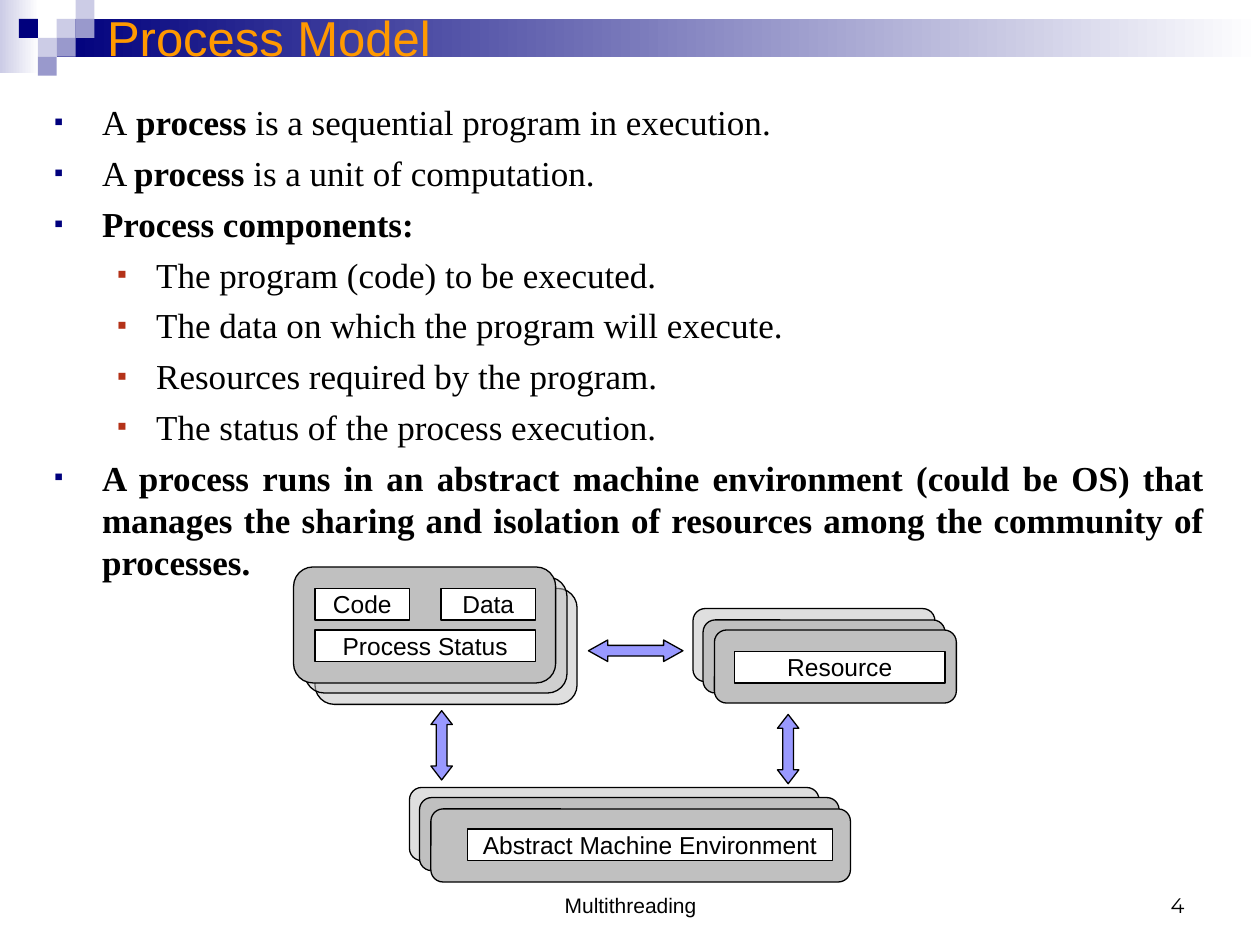
from lxml import etree
from pptx import Presentation
from pptx.dml.color import RGBColor
from pptx.enum.shapes import MSO_SHAPE
from pptx.enum.text import MSO_ANCHOR, MSO_AUTO_SIZE, PP_ALIGN
from pptx.oxml.ns import qn
from pptx.util import Inches, Pt

RECTANGLE = MSO_SHAPE.RECTANGLE
ROUNDED = MSO_SHAPE.ROUNDED_RECTANGLE
ARROW = MSO_SHAPE.LEFT_RIGHT_ARROW
LEFT, CENTER, RIGHT, JUSTIFY = PP_ALIGN.LEFT, PP_ALIGN.CENTER, PP_ALIGN.RIGHT, PP_ALIGN.JUSTIFY
MIDDLE, TOP, BOTTOM = MSO_ANCHOR.MIDDLE, MSO_ANCHOR.TOP, MSO_ANCHOR.BOTTOM

COLORS = {
    "navy": "00007D", "lavender": "CCCCE6", "violet": "9999CC", "arrow": "9999FF",
    "gray": "C0C0C0", "white": "FFFFFF", "black": "000000", "orange": "FF9900", "red": "B43218",
}


def add_box(kind, box, color, outlined=True):
    shape = slide.shapes.add_shape(kind, *map(Inches, box))
    shape.shadow.inherit = False
    shape.fill.solid()
    shape.fill.fore_color.rgb = RGBColor.from_string(COLORS[color])
    if outlined:
        shape.line.color.rgb = RGBColor.from_string(COLORS["black"])
        shape.line.width = Pt(0.75)
    else:
        shape.line.fill.background()
    return shape


def format_text(paragraph, size, font="Arial", color="black", alignment=CENTER):
    paragraph.alignment = alignment
    for run in paragraph.runs:
        run.font.size = Pt(size)
        run.font.name = font
        run.font.color.rgb = RGBColor.from_string(COLORS[color])


presentation = Presentation()
presentation.slide_width, presentation.slide_height = Inches(10), Inches(7.5)
slide = presentation.slides.add_slide(presentation.slide_layouts[1])
title, body = slide.placeholders

for box, start in [((0, 0, 0.31, 0.58), "lavender"), ((0.45, 0.15, 9.55, 0.3), "navy")]:
    band = add_box(RECTANGLE, box, start, outlined=False)
    band.fill.gradient()
    band.fill.gradient_angle = 0
    for stop, color in zip(band.fill.gradient_stops, (start, "white")):
        stop.color.rgb = RGBColor.from_string(COLORS[color])

for column, row, color in [
    (3, 1, "lavender"), (4, 0, "lavender"), (4, 1, "violet"), (2, 2, "lavender"),
    (1, 1, "navy"), (3, 2, "violet"), (2, 3, "violet"),
]:
    add_box(RECTANGLE, (column * 0.15, row * 0.15, 0.15, 0.15), color, outlined=False)

for placeholder, box, anchor in [
    (title, (0.75, 0.08, 8.5, 0.42), MIDDLE),
    (body, (0.33, 0.75, 9.33, 3.92), TOP),
]:
    slide.shapes.element.append(placeholder.element)
    placeholder.left, placeholder.top, placeholder.width, placeholder.height = map(Inches, box)
    placeholder.text_frame.auto_size = MSO_AUTO_SIZE.NONE
    placeholder.text_frame.vertical_anchor = anchor

title.text_frame.text = "Process Model"
format_text(title.text_frame.paragraphs[0], 28, color="orange", alignment=LEFT)

bullets = [
    (0, [("A", False), (" process", True), (" is a sequential program in execution.", False)]),
    (0, [("A ", False), ("process", True), (" is a unit of computation.", False)]),
    (0, [("Process components:", True)]),
    (1, [("The program (code) to be executed.", False)]),
    (1, [("The data on which the program will execute.", False)]),
    (1, [("Resources required by the program.", False)]),
    (1, [("The status of the process execution.", False)]),
    (0, [("A process runs in an abstract machine environment (could be OS) that manages "
          "the sharing and isolation of resources among the community of processes.", True)]),
]
bullet_styles = [(0.38, -0.38, "navy", 75), (0.81, -0.31, "red", 80)]
for index, (level, parts) in enumerate(bullets):
    paragraph = body.text_frame.add_paragraph() if index else body.text_frame.paragraphs[0]
    paragraph.level = level
    paragraph.space_before = Pt(5)
    for text, bold in parts:
        run = paragraph.add_run()
        run.text = text
        run.font.bold = bold
    format_text(paragraph, 20, "Times New Roman", alignment=JUSTIFY)
    margin, indent, color, percent = bullet_styles[level]
    properties = paragraph._p.get_or_add_pPr()
    properties.set("marL", str(Inches(margin)))
    properties.set("indent", str(Inches(indent)))
    bullet_color = etree.SubElement(properties, qn("a:buClr"))
    etree.SubElement(bullet_color, qn("a:srgbClr"), val=COLORS[color])
    etree.SubElement(properties, qn("a:buSzPct"), val=str(percent * 1000))
    etree.SubElement(properties, qn("a:buFont"), typeface="Arial")
    etree.SubElement(properties, qn("a:buChar"), char="▪")

for text, box, font, alignment in [
    ("Multithreading", (3.42, 6.83, 3.17, 0.5), "Arial", CENTER),
    ("4", (7.17, 6.83, 2.33, 0.5), "Montserrat", RIGHT),
]:
    footer = slide.shapes.add_textbox(*map(Inches, box))
    footer.text_frame.word_wrap = True
    footer.text_frame.vertical_anchor = BOTTOM
    footer.text_frame.text = text
    format_text(footer.text_frame.paragraphs[0], 12, font, alignment=alignment)

stacks = [
    [(2.5, 4.67, 2.08, 0.92, True), (2.42, 4.58, 2.08, 0.92, True), (2.33, 4.5, 2.08, 0.92, False)],
    [(5.5, 4.83, 1.92, 0.58, True), (5.58, 4.92, 1.92, 0.58, False), (5.67, 5, 1.92, 0.58, False)],
    [(3.25, 6.25, 3.25, 0.58, True), (3.33, 6.33, 3.33, 0.58, False), (3.42, 6.42, 3.33, 0.58, False)],
]
for stack in stacks:
    for *box, translucent in stack:
        card = add_box(ROUNDED, box, "gray")
        if translucent:
            fill_color = card.element.spPr.find(qn("a:solidFill")).find(qn("a:srgbClr"))
            etree.SubElement(fill_color, qn("a:alpha"), val="50000")

for text, box in [
    ("Code", (2.5, 4.67, 0.75, 0.25)),
    ("Data", (3.5, 4.67, 0.75, 0.25)),
    ("Process Status", (2.5, 5, 1.75, 0.25)),
    ("Resource", (5.83, 5.17, 1.67, 0.25)),
    ("Abstract Machine Environment", (3.71, 6.58, 2.9, 0.25)),
]:
    label = add_box(RECTANGLE, box, "white")
    label.text_frame.word_wrap = False
    label.text_frame.vertical_anchor = MIDDLE
    label.text_frame.text = text
    format_text(label.text_frame.paragraphs[0], 14)

for box, rotation, head in [
    ((4.67, 5.08, 0.75, 0.17), 0, 0.9),
    ((3.23, 5.83, 0.55, 0.17), 90, 0.65),
    ((5.98, 5.86, 0.55, 0.17), 90, 0.65),
]:
    arrow = add_box(ARROW, box, "arrow")
    arrow.rotation = rotation
    arrow.adjustments[0] = 0.5
    arrow.adjustments[1] = head

presentation.save("out.pptx")
